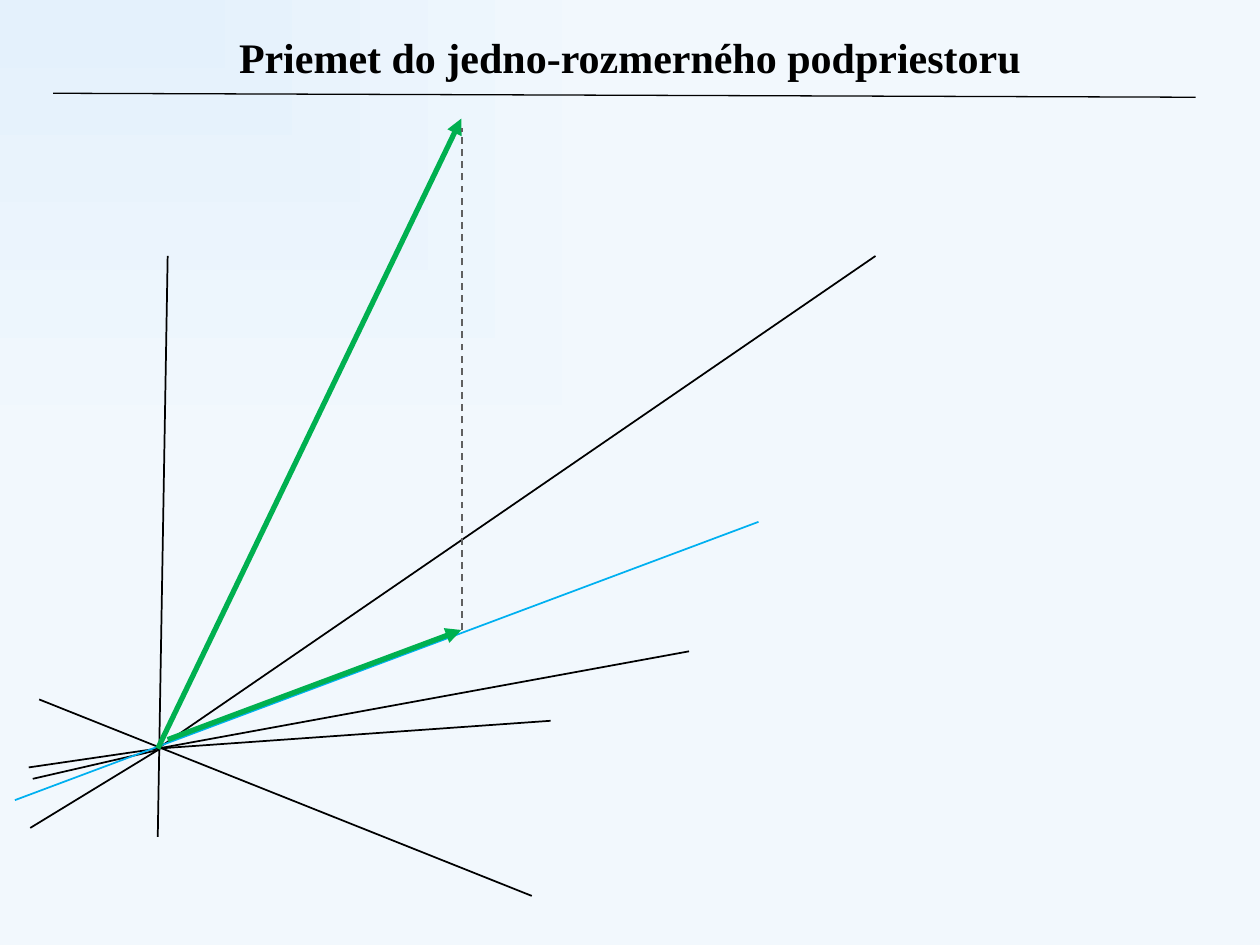
from lxml.etree import SubElement
from pptx import Presentation
from pptx.dml.color import RGBColor as Rgb
from pptx.enum.dml import MSO_LINE as Dash
from pptx.enum.shapes import MSO_CONNECTOR as Link
from pptx.enum.text import MSO_ANCHOR as Anchor, MSO_AUTO_SIZE as Fit, PP_ALIGN as Align
from pptx.oxml.ns import qn
from pptx.util import Cm, Pt

HUES = {
    "black": "000000",
    "blue": "00B0F0",
    "green": "00B050",
    "grey": "606060",
    "glow": "E4F1FC",
    "pale": "F2F8FD",
}
FONT = "Times New Roman"

# Points in cm
ZERO = (3.18, 15.09)
TIP = (9.3, 2.39)
FOOT = (9.3, 12.7)
AXES = [
    ((3.18, 16.87), (3.38, 5.16)),
    ((0.79, 14.1), (10.72, 18.06)),
    (ZERO, (17.65, 5.16)),
    (ZERO, (11.1, 14.53)),
    (ZERO, (13.89, 13.13)),
    ((0.58, 15.47), ZERO),
    ((0.66, 15.7), (3.23, 15.11)),
    ((0.61, 16.69), (3.2, 15.11)),
]


def hue(name):
    return Rgb.from_string(HUES[name])


class Board:
    """Holds the style and the current slide."""

    def __init__(self, deck, font):
        self.font = font
        self.slide = deck.slides.add_slide(deck.slide_layouts[5])

    def back(self, *names):
        """Fill the background with a gradient spreading from the top left."""
        fill = self.slide.background.fill
        fill.gradient()
        for stop, name in zip(fill.gradient_stops, names):
            stop.color.rgb = hue(name)
        grad = self.slide.element.find(".//" + qn("a:gradFill"))
        grad.remove(grad.find(qn("a:lin")))
        shade = SubElement(grad, qn("a:path"), {"path": "rect"})
        SubElement(shade, qn("a:fillToRect"), {"r": "100000", "b": "100000"})

    def title(self, text, left, top, width, height):
        box = self.slide.shapes.title
        box.left, box.top, box.width, box.height = map(Cm, (left, top, width, height))
        frame = box.text_frame
        frame.text = text
        frame.word_wrap = False
        frame.auto_size = Fit.SHAPE_TO_FIT_TEXT
        frame.vertical_anchor = Anchor.TOP
        para = frame.paragraphs[0]
        para.alignment = Align.CENTER
        font = para.font
        font.name, font.size, font.bold = self.font, Pt(24), True
        font.color.rgb = hue("black")

    def line(self, start, end, color="black", width=1, dash=None, arrow=False):
        link = self.slide.shapes.add_connector(Link.STRAIGHT, *map(Cm, start + end))
        link.line.color.rgb = hue(color)
        link.line.width = Pt(width)
        if dash:
            link.line.dash_style = dash
        if arrow:
            SubElement(link.line._get_or_add_ln(), qn("a:tailEnd"), {"type": "triangle"})
        SubElement(link.element.spPr, qn("a:effectLst"))


def main():
    deck = Presentation()
    deck.slide_width, deck.slide_height = Cm(25.4), Cm(19.05)
    board = Board(deck, FONT)
    board.back("glow", "pale")
    board.title("Priemet do jedno-rozmerného podpriestoru", 4.5, 0.51, 16.4, 1.27)

    for start, end in AXES:
        board.line(start, end)
    board.line((0.3, 16.13), (15.29, 10.52), "blue")
    board.line(ZERO, TIP, "green", 3, arrow=True)
    board.line((9.32, 12.7), (9.32, 2.59), "grey", dash=Dash.DASH)
    board.line((3.38, 14.91), FOOT, "green", 3, arrow=True)
    board.line((1.07, 1.88), (24.1, 1.96), width=0.75)
    deck.save("out.pptx")


if __name__ == "__main__":
    main()
